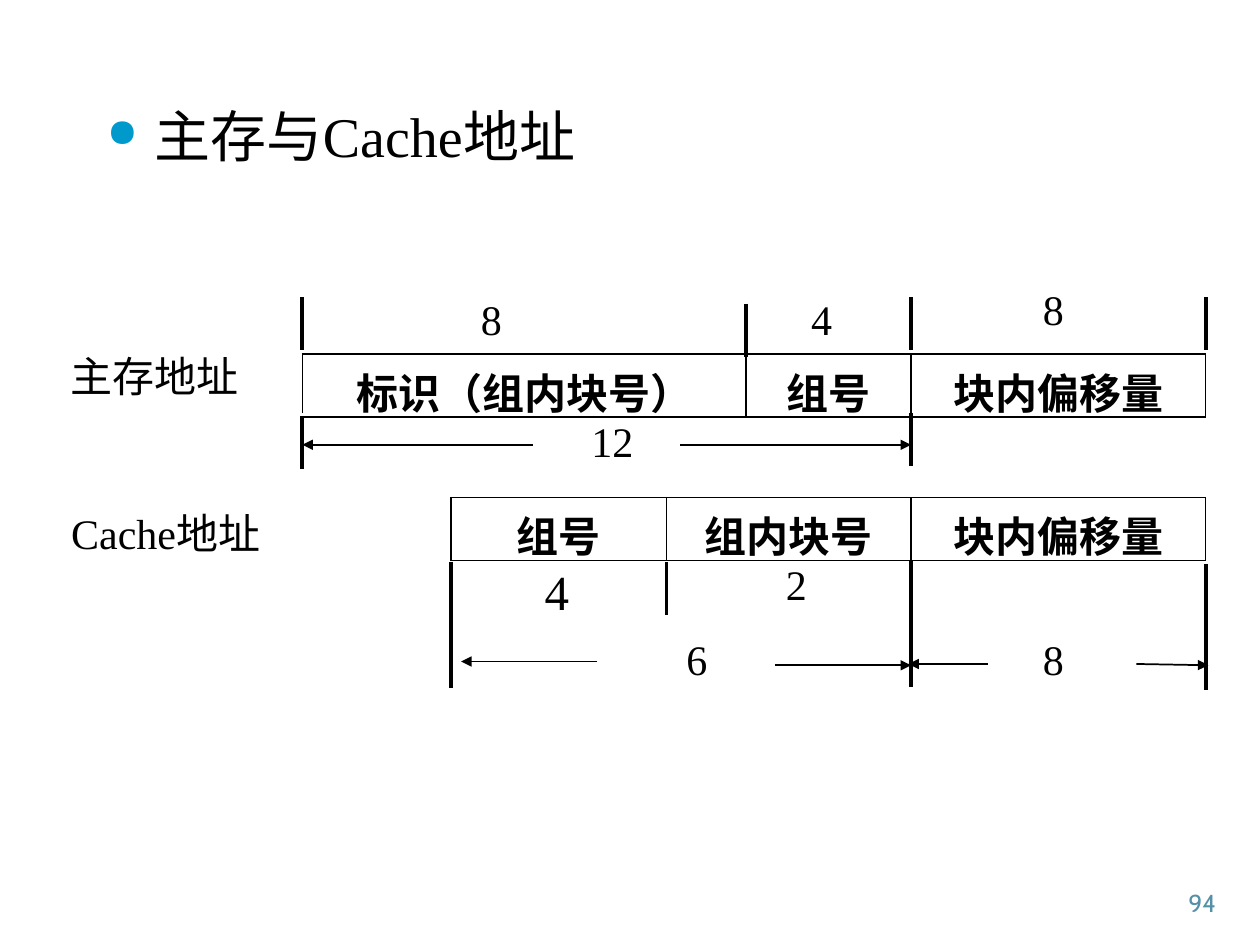
"""Build a slide comparing main-memory and cache address fields."""
from lxml import etree
from pptx import Presentation
from pptx.dml.color import RGBColor
from pptx.enum.shapes import MSO_CONNECTOR
from pptx.enum.text import MSO_ANCHOR, MSO_AUTO_SIZE, PP_ALIGN
from pptx.oxml.ns import qn
from pptx.util import Inches, Pt

STRAIGHT = MSO_CONNECTOR.STRAIGHT
TOP, MIDDLE, BOTTOM = MSO_ANCHOR.TOP, MSO_ANCHOR.MIDDLE, MSO_ANCHOR.BOTTOM
LEFT, CENTER, RIGHT = PP_ALIGN.LEFT, PP_ALIGN.CENTER, PP_ALIGN.RIGHT
BLACK = RGBColor(0, 0, 0)
WHITE = RGBColor(255, 255, 255)
BULLET_BLUE = RGBColor(0x00, 0x99, 0xCC)
PAGE_BLUE = RGBColor(0x54, 0x90, 0xA8)
SERIF, SANS = "Times New Roman", "Cabin"

MEMORY_X, CACHE_X, BLOCK_X, SET_X, OFFSET_X, END_X = 2.4, 3.58, 5.29, 5.92, 7.23, 9.57
TICK, LONG_TICK = 0.42, 1.0

TITLE = "主存与Cache地址"
PAGE_NUMBER = "94"
ADDRESSES = [
    (2.81, 0.47, [MEMORY_X, SET_X, OFFSET_X, END_X], ["标识（组内块号）", "组号", "块内偏移量"]),
    (3.95, 0.5, [CACHE_X, BLOCK_X, OFFSET_X, END_X], ["组号", "组内块号", "块内偏移量"]),
]
LABELS = [
    ("主存地址", 0.48, 2.78, 1.5, 24),
    ("Cache地址", 0.48, 4.03, 1.67, 24),
    ("8", 3.4, 2.33, 1.0, 24),
    ("4", 6.31, 2.33, 0.42, 24),
    ("8", 8.15, 2.25, 0.42, 24),
    ("12", 4.65, 3.3, 0.42, 24),
    ("4", 4.21, 4.46, 0.42, 28),
    ("2", 6.17, 4.43, 0.3, 24),
    ("6", 5.32, 5.03, 0.42, 24),
    ("8", 8.15, 5.03, 0.42, 24),
]
TICKS = [
    (MEMORY_X, 2.36, TICK, BLACK),
    (SET_X, 2.41, TICK, BLACK),
    (OFFSET_X, 2.36, TICK, BLACK),
    (END_X, 2.36, TICK, BLACK),
    (MEMORY_X, 3.28, TICK, WHITE),
    (MEMORY_X, 3.3, TICK, BLACK),
    (OFFSET_X, 3.28, TICK, BLACK),
    (CACHE_X, 4.46, LONG_TICK, BLACK),
    (BLOCK_X, 4.46, TICK, BLACK),
    (OFFSET_X, 4.45, LONG_TICK, BLACK),
    (END_X, 4.48, LONG_TICK, BLACK),
]
ARROWS = [
    (MEMORY_X, 3.53, 4.23, 3.53, "headEnd"),
    (5.4, 3.53, OFFSET_X, 3.53, "tailEnd"),
    (3.66, 5.25, 4.74, 5.25, "headEnd"),
    (6.15, 5.28, OFFSET_X, 5.28, "tailEnd"),
    (7.21, 5.27, 7.84, 5.27, "headEnd"),
    (9.02, 5.27, 9.59, 5.28, "tailEnd"),
]


def add_xml(parent, tag, **attributes):
    return etree.SubElement(parent, qn(f"a:{tag}"), attributes)


def write(frame, text, size, font, color, align, space=0, bold=False):
    paragraph = frame.paragraphs[0]
    paragraph.alignment = align
    if space:
        before = add_xml(paragraph._p.get_or_add_pPr(), "spcBef")
        add_xml(before, "spcPct", val=str(space * 1000))
    run = paragraph.add_run()
    run.text = text
    run.font.size, run.font.name, run.font.bold = Pt(size), font, bold
    run.font.color.rgb = color
    return paragraph


def add_text(slide, box, anchor, *style, inset=True):
    frame = slide.shapes.add_textbox(*map(Inches, box)).text_frame
    frame.word_wrap = True
    frame.vertical_anchor = anchor
    if not inset:
        frame.margin_left = frame.margin_right = frame.margin_top = frame.margin_bottom = 0
        frame.auto_size = MSO_AUTO_SIZE.SHAPE_TO_FIT_TEXT
    return write(frame, *style)


def add_title(slide):
    paragraph = add_text(slide, (0.75, 0.76, 8.5, 5.74), TOP, TITLE, 32, SERIF, BLACK, LEFT, 20)
    properties = paragraph._p.get_or_add_pPr()
    properties.set("marL", str(Inches(0.38)))
    properties.set("indent", str(Inches(-0.38)))
    add_xml(add_xml(properties, "buClr"), "srgbClr", val=str(BULLET_BLUE))
    add_xml(properties, "buSzPct", val="70000")
    add_xml(properties, "buChar", char="●")


def add_border(cell):
    properties = cell._tc.get_or_add_tcPr()
    for side in ("lnL", "lnR", "lnT", "lnB"):
        line = add_xml(properties, side, w=str(Pt(1)))
        add_xml(add_xml(line, "solidFill"), "srgbClr", val=str(BLACK))
    cell.fill.background()


def add_address(slide, top, row_height, edges, fields):
    frame = slide.shapes.add_table(1, len(fields), Inches(edges[0]), Inches(top),
                                   Inches(edges[-1] - edges[0]), Inches(0.5))
    table = frame.table
    table.first_row = table.horz_banding = False
    table.rows[0].height = Inches(row_height)
    for index, field in enumerate(fields):
        table.columns[index].width = Inches(edges[index + 1] - edges[index])
        cell = table.cell(0, index)
        cell.vertical_anchor = MIDDLE
        write(cell.text_frame, field, 24, SANS, BLACK, CENTER, 20, True)
        add_border(cell)


def add_line(slide, ends, width, color, arrow_end=None):
    line = slide.shapes.add_connector(STRAIGHT, *map(Inches, ends))
    line.line.width = Pt(width)
    line.line.color.rgb = color
    if arrow_end:
        add_xml(line.line._get_or_add_ln(), arrow_end, type="triangle")
    add_xml(line._element.spPr, "effectLst")


def main():
    deck = Presentation()
    deck.slide_width, deck.slide_height = Inches(10), Inches(7.5)
    slide = deck.slides.add_slide(deck.slide_layouts[6])
    add_text(slide, (7.67, 6.83, 2.08, 0.5), BOTTOM, PAGE_NUMBER, 14, SANS, PAGE_BLUE, RIGHT)
    add_title(slide)
    for address in ADDRESSES:
        add_address(slide, *address)
    for text, left, top, width, size in LABELS:
        add_text(slide, (left, top, width, size / 60), MIDDLE,
                 text, size, SERIF, BLACK, CENTER, 50, inset=False)
    for x, top, length, color in TICKS:
        add_line(slide, (x, top, x, top + length), 2.25, color)
    for *ends, arrow_end in ARROWS:
        add_line(slide, ends, 1, BLACK, arrow_end)
    deck.save("out.pptx")


if __name__ == "__main__":
    main()
